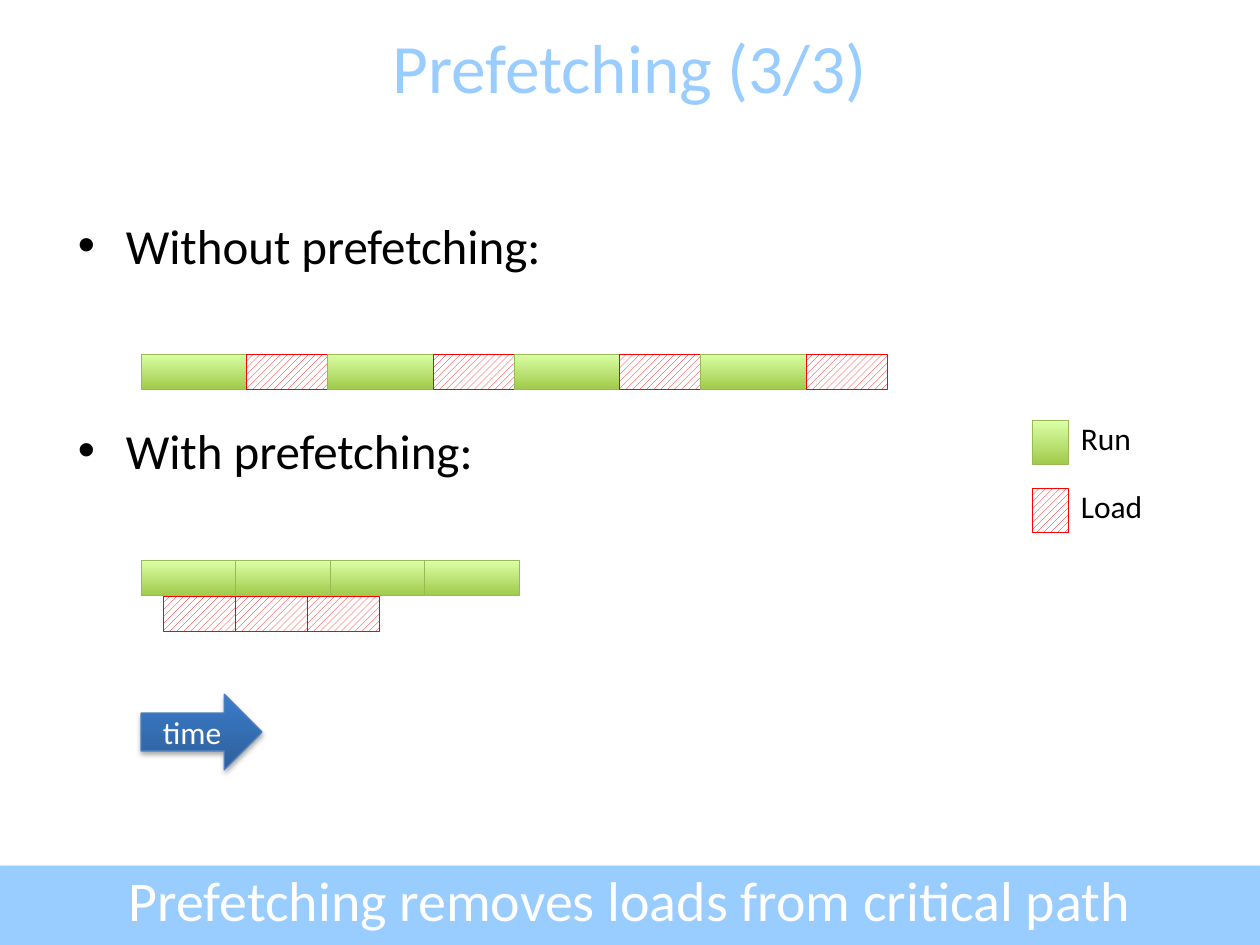
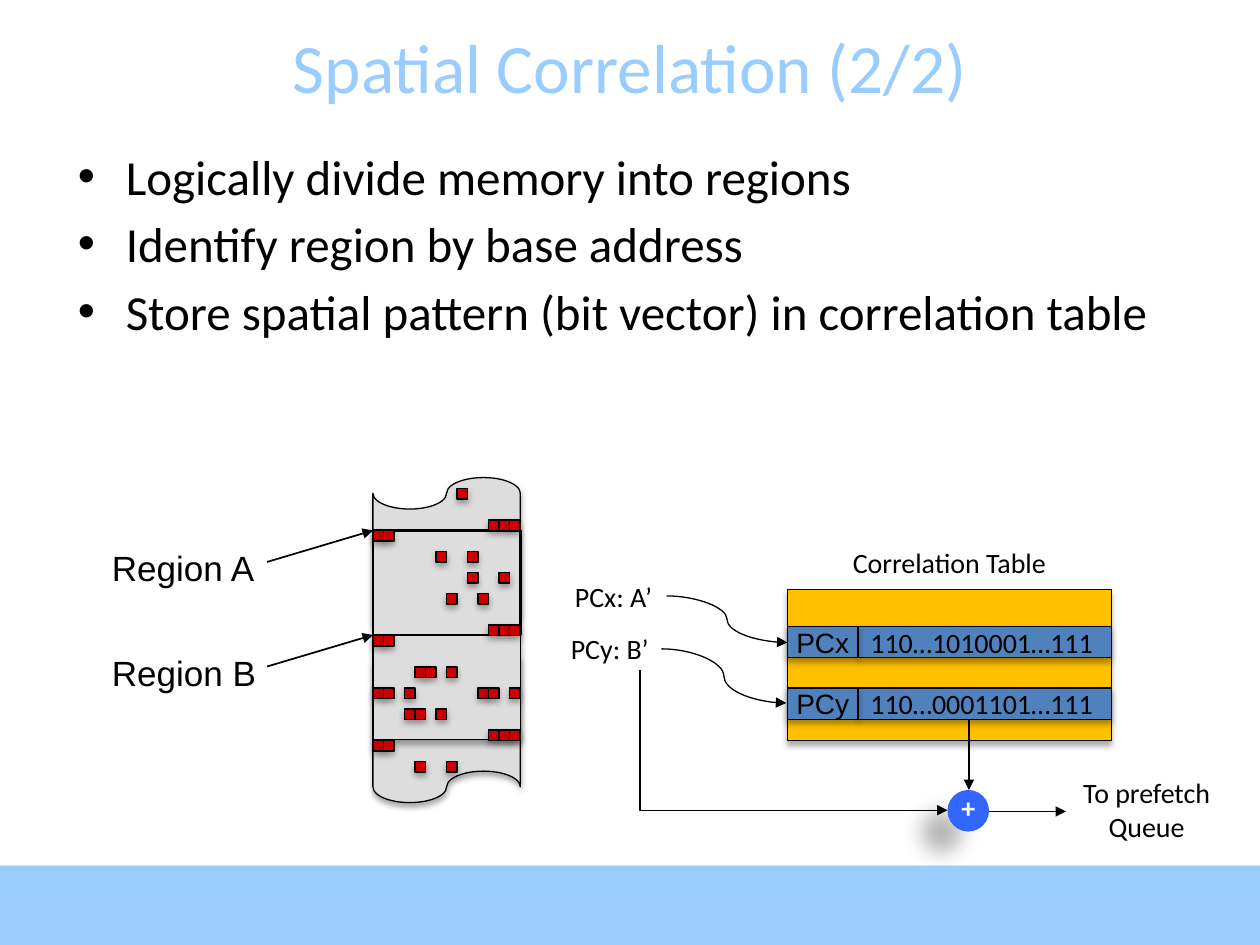
from dataclasses import dataclass

from lxml import etree
from pptx import Presentation
from pptx.dml.color import RGBColor
from pptx.enum.dml import MSO_PATTERN
from pptx.enum.shapes import MSO_CONNECTOR, MSO_SHAPE
from pptx.enum.text import MSO_ANCHOR, PP_ALIGN
from pptx.oxml.ns import qn
from pptx.util import Inches, Pt

RECTANGLE = MSO_SHAPE.RECTANGLE
OVAL = MSO_SHAPE.OVAL
RIGHT_ARROW = MSO_SHAPE.RIGHT_ARROW
PUNCHED_TAPE = MSO_SHAPE.FLOWCHART_PUNCHED_TAPE
STRAIGHT = MSO_CONNECTOR.STRAIGHT
CURVE = MSO_CONNECTOR.CURVE
ELBOW = MSO_CONNECTOR.ELBOW
WIDE_UPWARD = MSO_PATTERN.WIDE_UPWARD_DIAGONAL
LEFT, CENTER = PP_ALIGN.LEFT, PP_ALIGN.CENTER
TOP, MIDDLE = MSO_ANCHOR.TOP, MSO_ANCHOR.MIDDLE


@dataclass(frozen=True)
class Theme:
    font: str = "Calibri"
    label_font: str = "Arial"
    accent: str = "99CCFF"
    black: str = "000000"
    white: str = "FFFFFF"
    run_fill: tuple = ("A0CA4A", "DAFFA5")
    run_line: str = "98B955"
    load: str = "FF0000"
    arrow_fill: tuple = ("2F5F99", "3A7CCB")
    arrow_line: str = "4B7EBC"
    memory: str = "DDDDDD"
    block: str = "CC0000"
    table: str = "FFC000"
    entry: str = "4F81BD"
    adder: str = "3366FF"
    title_size: float = 39.6
    takeaway_size: int = 32
    body_size: int = 28
    region_size: int = 20
    legend_size: int = 18
    label_size: int = 16
    band_shadow: tuple = (35, 3.1, 1.8, 90)
    diagram_shadow: tuple = (32, 3.5, 2.2, 90)
    adder_shadow: tuple = (28, 11.8, 19.7, 141)


class Deck:
    def __init__(self, theme):
        self.theme = theme
        self.presentation = Presentation()
        self.presentation.slide_width = Inches(10)
        self.presentation.slide_height = Inches(7.5)
        self.slide = None

    def start_slide(self, title):
        theme = self.theme
        layout = self.presentation.slide_layouts[6]
        self.slide = self.presentation.slides.add_slide(layout)
        self.shape((0, 6.87, 10, 0.63), theme.accent, shadow=theme.band_shadow)
        self.text((0, 0.21, 10, 0.63), title, theme.title_size, theme.accent,
                  align=CENTER, anchor=MIDDLE)

    def add_run(self, paragraph, text, size, color=None, font=None, bold=False):
        run = paragraph.add_run()
        run.text = text
        run.font.size = Pt(size)
        run.font.name = font or self.theme.font
        run.font.bold = bold
        run.font.color.rgb = RGBColor.from_string(color or self.theme.black)

    def label(self, shape, text, size, color=None, font=None, align=LEFT,
              anchor=TOP, wrap=True, bold=False):
        frame = shape.text_frame
        frame.word_wrap = wrap
        frame.vertical_anchor = anchor
        paragraph = frame.paragraphs[0]
        paragraph.alignment = align
        self.add_run(paragraph, text, size, color, font, bold)

    def text(self, box, text, size, color=None, **style):
        shape = self.slide.shapes.add_textbox(*map(Inches, box))
        self.label(shape, text, size, color, **style)

    def bullets(self, top, items, gap):
        shape = self.slide.shapes.add_textbox(
            Inches(0.52), Inches(top), Inches(9), Inches(6.67 - top))
        frame = shape.text_frame
        frame.word_wrap = True
        for index, item in enumerate(items):
            paragraph = frame.add_paragraph() if index else frame.paragraphs[0]
            paragraph.space_before = Pt(gap if index else 0)
            properties = paragraph._p.get_or_add_pPr()
            properties.set("marL", str(Inches(0.38)))
            properties.set("indent", str(-Inches(0.38)))
            etree.SubElement(properties, qn("a:buFont"), typeface=self.theme.label_font)
            etree.SubElement(properties, qn("a:buChar"), char="•")
            self.add_run(paragraph, item, self.theme.body_size)

    def shape(self, box, fill=None, line=None, width=0.75, shadow=None, kind=RECTANGLE):
        shape = self.slide.shapes.add_shape(kind, *map(Inches, box))
        if fill is None:
            shape.fill.background()
        elif isinstance(fill, tuple):
            shape.fill.gradient()
            shape.fill.gradient_angle = 90
            for stop, color in zip(shape.fill.gradient_stops, fill):
                stop.color.rgb = RGBColor.from_string(color)
        else:
            shape.fill.solid()
            shape.fill.fore_color.rgb = RGBColor.from_string(fill)
        if line:
            shape.line.color.rgb = RGBColor.from_string(line)
            shape.line.width = Pt(width)
        else:
            shape.line.fill.background()
        shape.shadow.inherit = False
        if shadow:
            self.cast_shadow(shape, shadow)
        return shape

    def cast_shadow(self, shape, shadow):
        alpha, blur, distance, angle = shadow
        effects = shape._element.spPr.find(qn("a:effectLst"))
        outer = etree.SubElement(
            effects, qn("a:outerShdw"), blurRad=str(Pt(blur)), dist=str(Pt(distance)),
            dir=str(angle * 60000), rotWithShape="0")
        color = etree.SubElement(outer, qn("a:srgbClr"), val=self.theme.black)
        etree.SubElement(color, qn("a:alpha"), val=str(alpha * 1000))

    def run_bar(self, box):
        self.shape(box, self.theme.run_fill, self.theme.run_line, 0.5)

    def load_bar(self, box):
        fill = self.shape(box, line=self.theme.load, width=0.5).fill
        fill.patterned()
        fill.pattern = WIDE_UPWARD
        fill.fore_color.rgb = RGBColor.from_string(self.theme.load)
        fill.back_color.rgb = RGBColor.from_string(self.theme.white)

    def diagram_shape(self, box, fill, kind=RECTANGLE):
        return self.shape(box, fill, self.theme.black,
                          shadow=self.theme.diagram_shadow, kind=kind)

    def arrow(self, begin, end, width=0.75, kind=STRAIGHT):
        connector = self.slide.shapes.add_connector(kind, *map(Inches, begin + end))
        connector.line.color.rgb = RGBColor.from_string(self.theme.black)
        connector.line.width = Pt(width)
        properties = connector._element.spPr
        etree.SubElement(properties.find(qn("a:ln")), qn("a:tailEnd"), type="triangle")
        etree.SubElement(properties, qn("a:effectLst"))
        return connector

    def corner_arrow(self, begin, end):
        center_x, center_y = ((a + b) / 2 for a, b in zip(begin, end))
        half_height, half_width = ((b - a) / 2 for a, b in zip(begin, end))
        connector = self.arrow((center_x + half_width, center_y - half_height),
                               (center_x - half_width, center_y + half_height), kind=ELBOW)
        properties = connector._element.spPr
        properties.find(qn("a:xfrm")).set("rot", str(270 * 60000))
        properties.find(qn("a:prstGeom")).set("prst", "bentConnector2")


def build_prefetching(deck):
    theme = deck.theme
    deck.start_slide("Prefetching (3/3)")
    deck.bullets(1.66, ["Without prefetching:", "With prefetching:"], 83.5)

    legend = (("Run", deck.run_bar, 3.34), ("Load", deck.load_bar, 3.88))
    for name, draw_bar, top in legend:
        draw_bar((8.19, top, 0.29, 0.35))
        deck.text((8.48, top - 0.06, 0.7, 0.4), name, theme.legend_size, wrap=False)

    start, height = 1.12, 0.28
    run_width, load_width = 0.84, 0.64
    for step in range(4):
        left = start + (run_width + load_width) * step
        deck.run_bar((left, 2.81, run_width, height))
        deck.load_bar((left + run_width, 2.81, load_width, height))
    for step in range(4):
        deck.run_bar((start + 0.75 * step, 4.45, 0.75, height))
    for step in range(3):
        deck.load_bar((1.3 + 0.57 * step, 4.73, 0.57, height))

    time_arrow = deck.shape((start, 5.51, 0.96, 0.6), theme.arrow_fill, theme.arrow_line,
                            shadow=theme.band_shadow, kind=RIGHT_ARROW)
    deck.label(time_arrow, "time", theme.legend_size, theme.white,
               align=CENTER, anchor=MIDDLE)
    deck.text((0, 6.82, 10, 0.63), "Prefetching removes loads from critical path",
              theme.takeaway_size, theme.white, align=CENTER)


def draw_memory(deck):
    theme = deck.theme
    left, top, width, height = 2.96, 4.21, 1.17, 0.83
    for tape_top in (5.12, 3.79):
        deck.diagram_shape((left, tape_top, width, 1.25), theme.memory, PUNCHED_TAPE)
    for region in range(2):
        deck.diagram_shape((left, top + height * region, width, height), theme.memory)
    deck.shape((left, top, width, height), line=theme.black, width=1.5)

    block = 1 / 12
    columns_by_row = {
        -4: [8], -1: [11, 12, 13], 0: [0, 1], 2: [6, 9], 4: [9, 12], 6: [7, 10],
        9: [11, 12, 13], 10: [0, 1], 13: [4, 5, 7], 15: [0, 1, 3, 10, 11, 13],
        17: [3, 4, 6], 19: [11, 12, 13], 20: [0, 1], 22: [4, 7],
    }
    for row, columns in columns_by_row.items():
        for column in columns:
            deck.diagram_shape((left + block * column, top + block * row, block, block),
                               theme.block)

    for index, name in enumerate(("Region A", "Region B")):
        offset = height * index
        deck.text((0.79, 4.29 + offset, 1.42, 0.43), name, theme.region_size,
                  font=theme.label_font)
        deck.arrow((2.12, 4.46 + offset), (left, top + offset), 1)


def draw_correlation_table(deck):
    theme = deck.theme
    size = theme.label_size
    deck.diagram_shape((6.25, 4.68, 2.57, 1.2), theme.table)
    deck.text((6.25, 4.28, 2.57, 0.37), "Correlation Table", size, align=CENTER)

    entries = (
        ("PCx", "PCx: A’", "110…1010001…111", (4.45, 4.55), 4.97, (5.29, 4.73), (6.25, 5.1)),
        ("PCy", "PCy: B’", "110…0001101…111", (4.42, 4.96), 5.46, (5.25, 5.15), (6.24, 5.58)),
    )
    for counter, access, bits, corner, top, begin, end in entries:
        deck.text(corner + (0.84, 0.37), access, size, align=CENTER, wrap=False)
        deck.arrow(begin, end, kind=CURVE)
        vector = deck.diagram_shape((6.81, top, 2.01, 0.25), theme.entry)
        deck.label(vector, bits, size, anchor=MIDDLE, wrap=False)
        key = deck.diagram_shape((6.25, top, 0.56, 0.25), theme.entry)
        deck.label(key, counter, size, font=theme.label_font,
                   align=CENTER, anchor=MIDDLE, wrap=False)

    deck.arrow((7.69, 5.71), (7.69, 6.27))
    adder = deck.shape((7.52, 6.27, 0.33, 0.33), theme.adder,
                       shadow=theme.adder_shadow, kind=OVAL)
    adder.text_frame.margin_top = 0
    deck.label(adder, "+", size, theme.white, align=CENTER, anchor=MIDDLE,
               wrap=False, bold=True)
    deck.corner_arrow((5.08, 5.32), (7.52, 6.43))
    deck.arrow((7.85, 6.44), (8.46, 6.44))
    deck.text((8.46, 6.11, 1.28, 0.64), "To prefetch Queue", size, align=CENTER)


def build_spatial_correlation(deck):
    deck.start_slide("Spatial Correlation (2/2)")
    deck.bullets(1.11, [
        "Logically divide memory into regions",
        "Identify region by base address",
        "Store spatial pattern (bit vector) in correlation table",
    ], 5)
    draw_memory(deck)
    draw_correlation_table(deck)


def main():
    deck = Deck(Theme())
    build_prefetching(deck)
    build_spatial_correlation(deck)
    deck.presentation.save("out.pptx")


if __name__ == "__main__":
    main()
